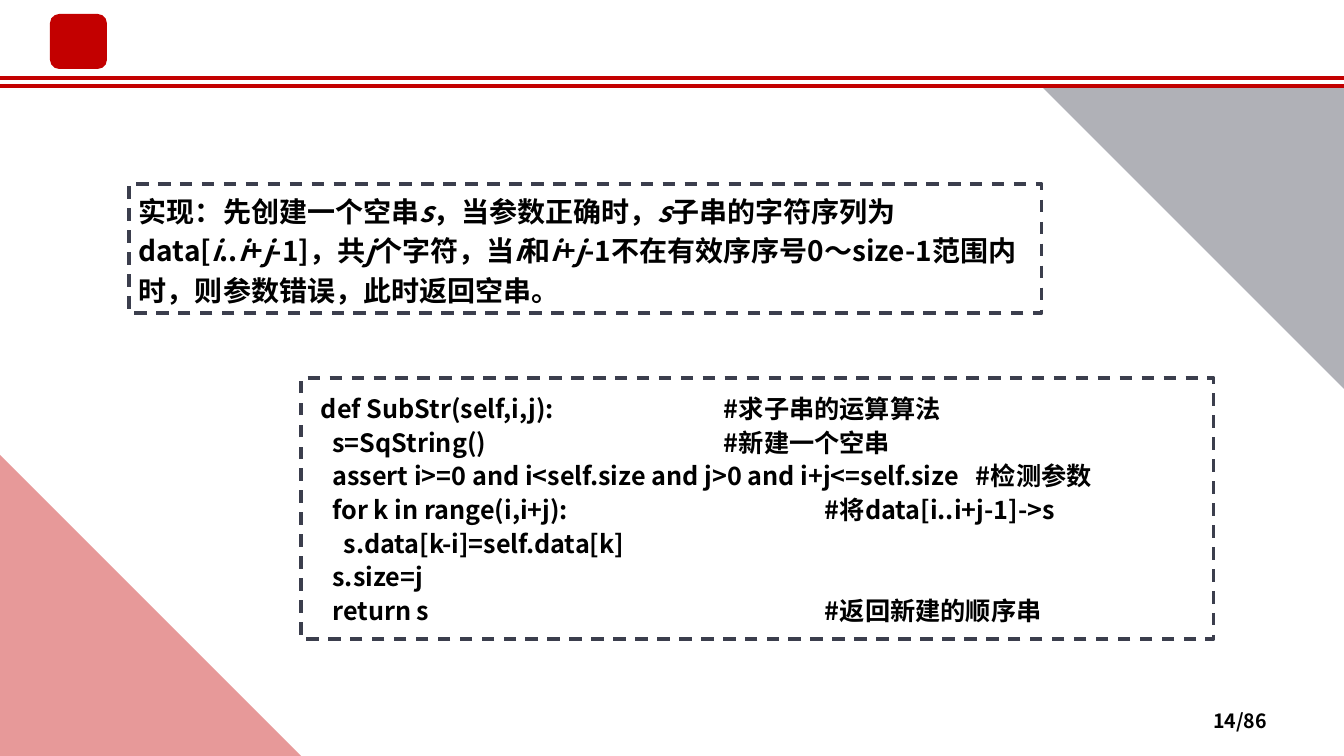
from dataclasses import dataclass
from typing import Optional

from lxml.etree import SubElement
from pptx import Presentation
from pptx.dml.color import RGBColor
from pptx.enum.dml import MSO_LINE
from pptx.enum.shapes import MSO_CONNECTOR, MSO_SHAPE
from pptx.enum.text import MSO_ANCHOR, MSO_AUTO_SIZE, PP_ALIGN
from pptx.oxml.ns import qn
from pptx.shapes.autoshape import Shape
from pptx.slide import Slide
from pptx.text.text import TextFrame
from pptx.util import Emu, Pt


@dataclass(frozen=True)
class Theme:
    """Colours, font and type sizes of the slide."""
    red: str = "C30000"
    slate: str = "3B3E4D"
    white: str = "FFFFFF"
    ink: str = "000000"
    font: str = "Noto Sans CJK SC"
    statement_size: int = 20
    code_size: int = 18
    page_size: int = 14


@dataclass(frozen=True)
class Area:
    """Place of an element in px."""
    left: int
    top: int
    width: int
    height: int


@dataclass(frozen=True)
class Corner:
    """Translucent triangle in a corner of the slide."""
    area: Area
    color: str
    rotation: int


@dataclass(frozen=True)
class CodeLine:
    """Line of code with a comment at a tab stop in px."""
    code: str
    comment: str = ""
    stop: Optional[int] = None


THEME = Theme()
SLIDE_WIDTH, SLIDE_HEIGHT = 1344, 756
RULE_TOPS = (78, 86)
EMBLEM = Area(50, 14, 57, 55)
STATEMENT = Area(129, 184, 913, 129)
CODE = Area(301, 378, 913, 261)
PAGE_NUMBER = Area(964, 701, 313, 40)
CORNERS = (
    Corner(Area(0, 455, 301, 301), THEME.red, 0),
    Corner(Area(1043, 88, 301, 301), THEME.slate, 180),
)
STATEMENT_TEXT = (
    "实现：先创建一个空串*s*，当参数正确时，*s*子串的字符序列为"
    "data[*i*..*i*+*j*-1]，共*j*个字符，当*i*和*i*+*j*-1"
    "不在有效序序号0～size-1范围内时，则参数错误，此时返回空串。"
)
NEAR_STOP, FAR_STOP, ASSERT_STOP = 403, 504, 655
CODE_LINES = (
    CodeLine("def SubStr(self,i,j):", "#求子串的运算算法", NEAR_STOP),
    CodeLine("  s=SqString()", "#新建一个空串", NEAR_STOP),
    CodeLine("  assert i>=0 and i<self.size and j>0 and i+j<=self.size",
             "#检测参数", ASSERT_STOP),
    CodeLine("  for k in range(i,i+j):", "#将data[i..i+j-1]->s", FAR_STOP),
    CodeLine("    s.data[k-i]=self.data[k]"),
    CodeLine("  s.size=j"),
    CodeLine("  return s", "#返回新建的顺序串", FAR_STOP),
)


def px(length: int) -> Emu:
    """Turn px into EMU."""
    return Emu(round(length * 914400 / 100.8))


def place(area: Area) -> tuple[Emu, Emu, Emu, Emu]:
    """Turn an area into EMU lengths."""
    return px(area.left), px(area.top), px(area.width), px(area.height)


def add_figure(slide: Slide, kind: MSO_SHAPE, area: Area,
               fill: Optional[str] = None, alpha: int = 100) -> Shape:
    """Draw a preset shape without outline or shadow."""
    figure = slide.shapes.add_shape(kind, *place(area))
    figure.shadow.inherit = False
    figure.line.fill.background()
    if fill is None:
        figure.fill.background()
    else:
        figure.fill.solid()
        figure.fill.fore_color.rgb = RGBColor.from_string(fill)
    if alpha < 100:
        color = figure.fill._xPr.find(f".//{qn('a:srgbClr')}")
        SubElement(color, qn("a:alpha"), val=str(alpha * 1000))
    return figure


def add_dashed_box(slide: Slide, area: Area, fill: Optional[str] = None) -> TextFrame:
    """Draw a dashed rectangle and return its text frame."""
    box = add_figure(slide, MSO_SHAPE.RECTANGLE, area, fill)
    box.line.color.rgb = RGBColor.from_string(THEME.slate)
    box.line.width = Pt(2.25)
    box.line.dash_style = MSO_LINE.DASH
    frame = box.text_frame
    frame.word_wrap = True
    frame.auto_size = MSO_AUTO_SIZE.SHAPE_TO_FIT_TEXT
    frame.vertical_anchor = MSO_ANCHOR.TOP
    return frame


def write(frame: TextFrame, text: str, *, size: int,
          spacing: Optional[int] = None, align: PP_ALIGN = PP_ALIGN.LEFT,
          stop: Optional[int] = None) -> None:
    """Write one bold paragraph, with the parts between asterisks in italics."""
    first = frame.paragraphs[0]
    paragraph = frame.add_paragraph() if first.runs else first
    paragraph.alignment = align
    if spacing is not None:
        paragraph.line_spacing = Pt(spacing)
    if stop is not None:
        tabs = SubElement(paragraph._p.get_or_add_pPr(), qn("a:tabLst"))
        SubElement(tabs, qn("a:tab"), pos=str(px(stop)), algn="l")
    for index, part in enumerate(text.split("*")):
        run = paragraph.add_run()
        run.text = part
        font = run.font
        font.size = Pt(size)
        font.bold = True
        font.italic = index % 2 == 1
        font.color.rgb = RGBColor.from_string(THEME.ink)
        font.name = THEME.font
        SubElement(font._rPr, qn("a:ea"), typeface=THEME.font)


def add_rule(slide: Slide, top: int) -> None:
    """Draw a red line across the slide."""
    rule = slide.shapes.add_connector(
        MSO_CONNECTOR.STRAIGHT, px(0), px(top), px(SLIDE_WIDTH), px(top))
    rule.line.color.rgb = RGBColor.from_string(THEME.red)
    rule.line.width = Pt(3)
    SubElement(rule._element.spPr, qn("a:effectLst"))


def add_code(slide: Slide) -> None:
    """Draw the code box with its aligned comments."""
    frame = add_dashed_box(slide, CODE, THEME.white)
    frame.margin_left, frame.margin_right = px(20), px(10)
    frame.margin_top = frame.margin_bottom = px(12)
    for line in CODE_LINES:
        text = f"{line.code}\t{line.comment}" if line.comment else line.code
        write(frame, text, size=THEME.code_size, spacing=24, stop=line.stop)


def add_page_number(slide: Slide) -> None:
    """Write the page number at the bottom right."""
    frame = slide.shapes.add_textbox(*place(PAGE_NUMBER)).text_frame
    frame.word_wrap = True
    frame.vertical_anchor = MSO_ANCHOR.MIDDLE
    write(frame, "14/86", size=THEME.page_size, align=PP_ALIGN.RIGHT)


def main() -> None:
    """Build the slide and save it."""
    deck = Presentation()
    deck.slide_width, deck.slide_height = px(SLIDE_WIDTH), px(SLIDE_HEIGHT)
    slide = deck.slides.add_slide(deck.slide_layouts[6])
    for top in RULE_TOPS:
        add_rule(slide, top)
    add_figure(slide, MSO_SHAPE.ROUNDED_RECTANGLE, EMBLEM, THEME.red)
    add_code(slide)
    write(add_dashed_box(slide, STATEMENT), STATEMENT_TEXT,
          size=THEME.statement_size, spacing=28)
    add_page_number(slide)
    for corner in CORNERS:
        triangle = add_figure(slide, MSO_SHAPE.RIGHT_TRIANGLE, corner.area,
                              corner.color, alpha=40)
        triangle.rotation = corner.rotation
    deck.save("out.pptx")


if __name__ == "__main__":
    main()
